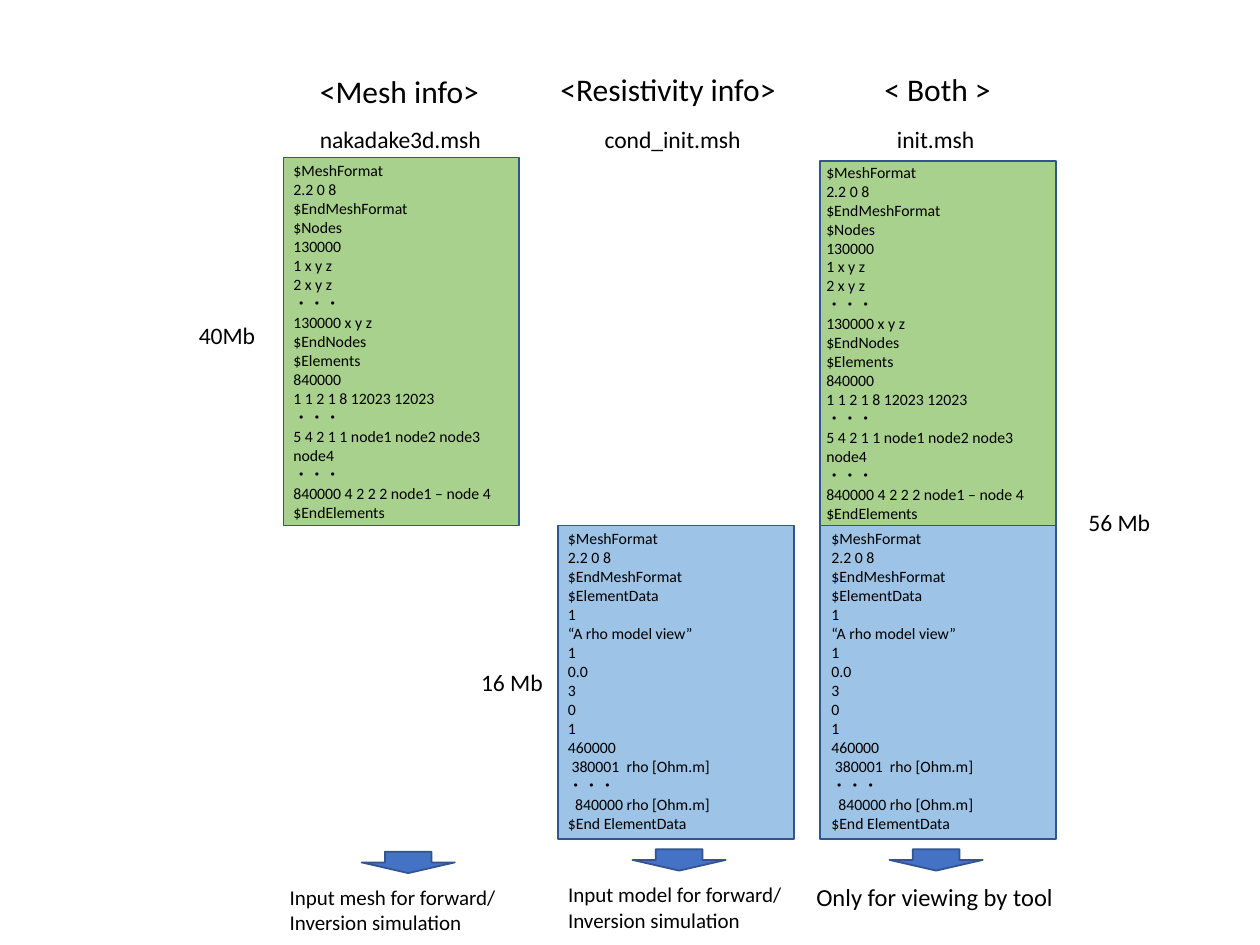
import pptx
import pptx.util
import pptx.dml.color
import pptx.enum.shapes
import pptx.enum.text

Inches = pptx.util.Inches
Shape = pptx.enum.shapes.MSO_SHAPE
COLORS = {"mesh": "A9D18E", "model": "9DC3E6", "arrow": "4472C4",
          "line": "325491", "text": "000000"}
MESH = """$MeshFormat
2.2 0 8
$EndMeshFormat
$Nodes
130000
1 x y z
2 x y z
・・・
130000 x y z
$EndNodes
$Elements
840000
1 1 2 1 8 12023 12023
・・・
5 4 2 1 1 node1 node2 node3 node4
・・・
840000 4 2 2 2 node1 – node 4
$EndElements"""
MODEL = """$MeshFormat
2.2 0 8
$EndMeshFormat
$ElementData
1
“A rho model view”
1
0.0
3
0
1
460000
 380001  rho [Ohm.m]
・・・
  840000 rho [Ohm.m]
$End ElementData"""


def color(name):
    """Return the named colour."""
    return pptx.dml.color.RGBColor.from_string(COLORS[name])


def label(shapes, text, box, size, wrap=False):
    """Write text in a box, one paragraph a line."""
    item = shapes.add_textbox(*map(Inches, box))
    frame = item.text_frame
    frame.text = text
    frame.word_wrap = wrap
    frame.auto_size = pptx.enum.text.MSO_AUTO_SIZE.SHAPE_TO_FIT_TEXT
    for para in frame.paragraphs:
        for run in para.runs:
            run.font.name = "Calibri"
            run.font.size = pptx.util.Pt(size)
            run.font.color.rgb = color("text")


def block(shapes, kind, box, fill):
    """Draw an outlined shape with a flat fill."""
    item = shapes.add_shape(kind, *map(Inches, box))
    item.shadow.inherit = False
    item.fill.solid()
    item.fill.fore_color.rgb = color(fill)
    item.line.color.rgb = color("line")
    item.line.width = pptx.util.Pt(1)


def listing(slide, box, fill, text, shift, width):
    """Group a coloured panel with its file listing."""
    left, top, _, _ = box
    dx, dy = shift
    group = slide.shapes.add_group_shape()
    block(group.shapes, Shape.RECTANGLE, box, fill)
    height = 2.98 if fill == "mesh" else 2.52
    label(group.shapes, text, (left + dx, top + dy, width, height), 9, True)


def heading(slide, box, title, name, inset):
    """Put a column title above its file name."""
    left, top, width, wide = box
    label(slide.shapes, title, (left, top, width, 0.4), 18)
    label(slide.shapes, name, (left + inset, 0.94, wide, 0.33), 13.5)


def footer(slide, box, text, size, inset):
    """Put a down arrow above the note on use."""
    left, top, width, height = box
    block(slide.shapes, Shape.DOWN_ARROW,
          (left + inset, top - 0.21, 0.74, 0.17), "arrow")
    label(slide.shapes, text, (left, top, width, height), size, True)


def main():
    """Build the slide of mesh, model and joint files."""
    deck = pptx.Presentation()
    deck.slide_width, deck.slide_height = Inches(10), Inches(7.5)
    slide = deck.slides.add_slide(deck.slide_layouts[6])

    heading(slide, (2.44, 0.52, 1.48, 1.5), "<Mesh info>", "nakadake3d.msh", 0)
    heading(slide, (4.35, 0.51, 1.93, 1.3), "<Resistivity info>",
            "cond_init.msh", 0.35)
    heading(slide, (6.92, 0.51, 1.06, 0.82), "< Both >", "init.msh", 0.1)

    listing(slide, (2.25, 1.25, 1.87, 2.92), "mesh", MESH, (-0.02, -0.02), 2.03)
    listing(slide, (4.43, 4.17, 1.87, 2.49), "model", MODEL, (-0.02, -0.02), 1.87)
    listing(slide, (6.51, 1.28, 1.87, 2.89), "mesh", MESH, (-0.05, -0.04), 2.03)
    listing(slide, (6.51, 4.17, 1.87, 2.49), "model", MODEL, (-0.01, -0.02), 1.87)

    for text, left, top, width in (("40Mb", 1.48, 2.5, 0.66),
                                   ("16 Mb", 3.72, 5.25, 0.7),
                                   ("56 Mb", 8.54, 3.98, 0.7)):
        label(slide.shapes, text, (left, top, width, 0.33), 13.5)

    for goal, left, top, inset in (("mesh", 2.2, 6.97, 0.67),
                                   ("model", 4.41, 6.95, 0.61)):
        footer(slide, (left, top, 2.42, 0.5),
               f"Input {goal} for forward/\nInversion simulation", 12, inset)
    footer(slide, (6.38, 6.95, 2.42, 0.34), "Only for viewing by tool", 14, 0.68)
    deck.save("out.pptx")


if __name__ == "__main__":
    main()
